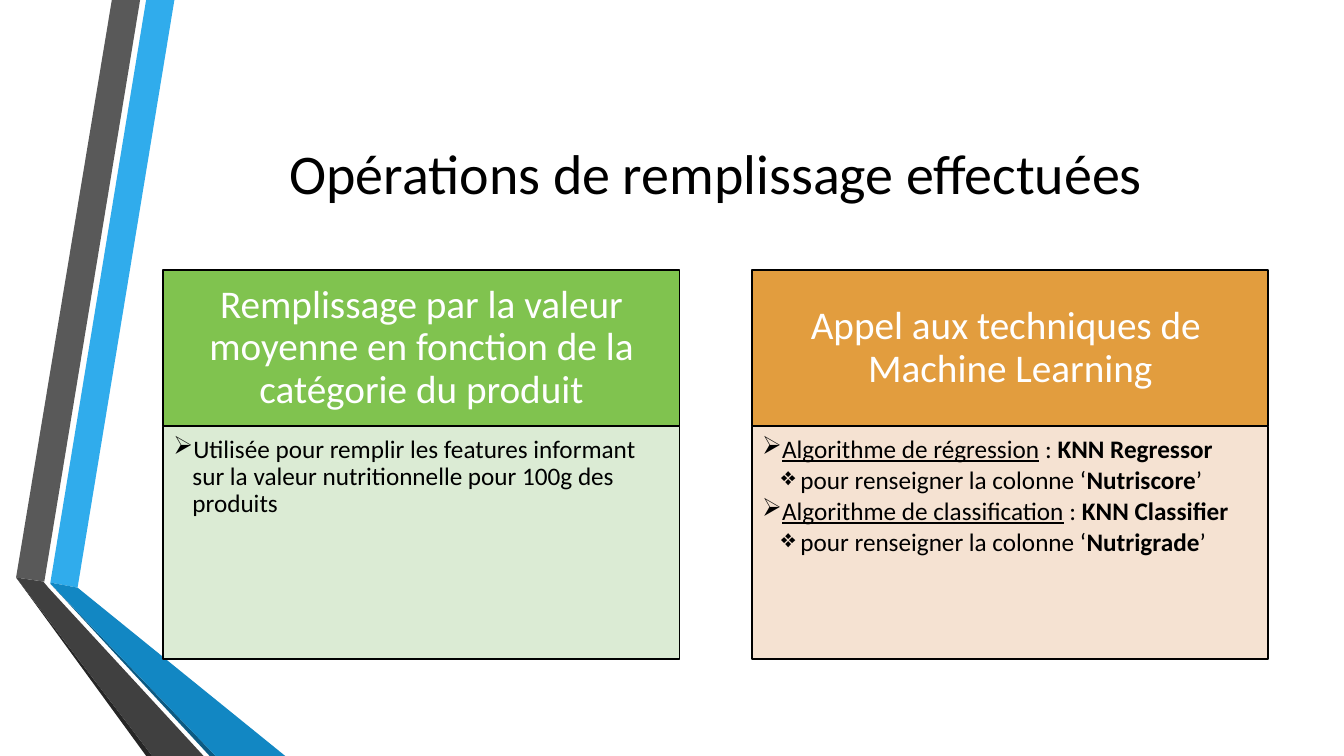
from dataclasses import dataclass

from lxml.etree import SubElement
from pptx import Presentation
from pptx.dml.color import RGBColor
from pptx.enum.shapes import MSO_SHAPE as Preset
from pptx.enum.text import MSO_ANCHOR as Anchor, PP_ALIGN as Align
from pptx.oxml.ns import qn
from pptx.util import Inches, Pt


@dataclass(frozen=True)
class Theme:
    """Colours, font and type sizes of the slide."""
    font: str = "Calibri"
    title_size: int = 40
    heading_size: int = 28
    body_size: int = 18
    outline: float = 1.25
    ink: str = "000000"
    paper: str = "FFFFFF"
    green: str = "80C34F"
    pale_green: str = "D8E9D0"
    orange: str = "E29D3E"
    pale_orange: str = "F4DFCE"
    blue: str = "30ACEC"
    mid_blue: str = "1287C3"
    deep_blue: str = "0C5A82"
    grey: str = "595959"
    dark_grey: str = "404040"
    near_black: str = "262626"


THEME = Theme()

RIBBONS = [
    (THEME.blue, [(0.5, 5.78), (0.77, 5.83), (1.73, 0), (1.45, 0)]),
    (THEME.grey, [(1.39, 0), (1.11, 0), (0.16, 5.73), (0.44, 5.77)]),
    (THEME.near_black, [(0.16, 5.73), (1.45, 7.5), (1.51, 7.5)]),
    (THEME.deep_blue, [(0.5, 5.79), (2.08, 7.5), (2.14, 7.5)]),
    (THEME.mid_blue, [(0.5, 5.79), (2.14, 7.5), (2.83, 7.5), (0.77, 5.83), (0.5, 5.78)]),
    (THEME.dark_grey, [(2.02, 7.5), (0.48, 5.83), (0.43, 5.77), (0.16, 5.73), (1.51, 7.5)]),
]


def algorithm_points(task, model, column):
    """Return the two bullet levels that describe one algorithm."""
    return [
        (1, [(f"Algorithme de {task}", "u"), (" : ", ""), (model, "b")]),
        (2, [("pour renseigner la colonne ‘", ""), (column, "b"), ("’", "")]),
    ]


CARDS = [
    (THEME.green, THEME.pale_green,
     "Remplissage par la valeur moyenne en fonction de la catégorie du produit",
     [(1, [("Utilisée pour remplir les features informant sur la valeur "
            "nutritionnelle pour 100g des produits", "")])]),
    (THEME.orange, THEME.pale_orange,
     "Appel aux techniques de \vMachine Learning",
     algorithm_points("régression", "KNN Regressor", "Nutriscore")
     + algorithm_points("classification", "KNN Classifier", "Nutrigrade")),
]
BULLETS = {1: "➢", 2: "❖"}
LEFT, TOP, CARD_WIDTH, CARD_STEP = 1.62, 2.68, 5.12, 5.84
HEADING_HEIGHT, BODY_HEIGHT = 1.55, 2.31
INDENT = 0.19


def paint(shape, color):
    """Give a shape a flat fill and no shadow."""
    shape.shadow.inherit = False
    shape.fill.solid()
    shape.fill.fore_color.rgb = RGBColor.from_string(color)


def style_font(paragraph, size, color):
    """Set the theme font of a whole paragraph."""
    paragraph.font.name = THEME.font
    paragraph.font.size = Pt(size)
    paragraph.font.color.rgb = RGBColor.from_string(color)


def add_ribbon(slide, color, outline):
    """Draw one facet of the folded ribbons."""
    start, *others = [(Inches(x), Inches(y)) for x, y in outline]
    builder = slide.shapes.build_freeform(*start)
    builder.add_line_segments(others, close=True)
    facet = builder.convert_to_shape()
    paint(facet, color)
    facet.line.fill.background()


def add_panel(slide, left, top, height, color, anchor, insets):
    """Draw an outlined panel and return it ready for text."""
    panel = slide.shapes.add_shape(Preset.RECTANGLE, Inches(left), Inches(top),
                                   Inches(CARD_WIDTH), Inches(height))
    paint(panel, color)
    panel.line.color.rgb = RGBColor.from_string(THEME.ink)
    panel.line.width = Pt(THEME.outline)
    frame = panel.text_frame
    frame.word_wrap = True
    frame.vertical_anchor = anchor
    (frame.margin_left, frame.margin_top,
     frame.margin_right, frame.margin_bottom) = map(Inches, insets)
    return panel


def set_opacity(shape, percent):
    """Make the solid fill of a shape partly transparent."""
    color = shape.fill._xPr.find(qn("a:solidFill"))[0]
    SubElement(color, qn("a:alpha"), val=str(percent * 1000))


def set_bullet(paragraph, level):
    """Give a paragraph the hanging bullet of its level."""
    properties = paragraph._p.get_or_add_pPr()
    properties.set("marL", str(Inches(INDENT * level)))
    properties.set("indent", str(-Inches(INDENT)))
    SubElement(properties, qn("a:buChar"), char=BULLETS[level])


def write_point(paragraph, level, pieces):
    """Write one bulleted point with its emphasised pieces."""
    paragraph.alignment = Align.LEFT
    paragraph.line_spacing = 0.9
    paragraph.space_after = Pt(THEME.body_size * 0.15)
    set_bullet(paragraph, level)
    style_font(paragraph, THEME.body_size, THEME.ink)
    for text, emphasis in pieces:
        run = paragraph.add_run()
        run.text = text
        if emphasis == "b":
            run.font.bold = True
        elif emphasis == "u":
            run.font.underline = True


def add_card(slide, left, strong, pale, heading, points):
    """Add a heading panel with its list of points below."""
    header = add_panel(slide, left, TOP, HEADING_HEIGHT, strong, Anchor.MIDDLE,
                       (0.22, 0.12, 0.22, 0.12))
    caption = header.text_frame.paragraphs[0]
    caption.text = heading
    caption.alignment = Align.CENTER
    caption.line_spacing = 0.9
    style_font(caption, THEME.heading_size, THEME.paper)

    body = add_panel(slide, left, TOP + HEADING_HEIGHT, BODY_HEIGHT, pale, Anchor.TOP,
                     (0.1, 0.1, 0.14, 0.16))
    set_opacity(body, 90)
    frame = body.text_frame
    for index, (level, pieces) in enumerate(points):
        paragraph = frame.add_paragraph() if index else frame.paragraphs[0]
        write_point(paragraph, level, pieces)


def set_title(slide, text):
    """Place and format the slide title."""
    title = slide.shapes.title
    title.left, title.top = Inches(LEFT), Inches(0.75)
    title.width, title.height = Inches(10.96), Inches(1.92)
    title.text_frame.vertical_anchor = Anchor.MIDDLE
    paragraph = title.text_frame.paragraphs[0]
    paragraph.text = text
    paragraph.alignment = Align.CENTER
    style_font(paragraph, THEME.title_size, THEME.ink)


def main():
    """Build the slide and save it."""
    deck = Presentation()
    deck.slide_width, deck.slide_height = Inches(13.33), Inches(7.5)
    slide = deck.slides.add_slide(deck.slide_layouts[5])
    for color, outline in RIBBONS:
        add_ribbon(slide, color, outline)
    set_title(slide, "Opérations de remplissage effectuées")
    for index, card in enumerate(CARDS):
        add_card(slide, LEFT + index * CARD_STEP, *card)
    deck.save("out.pptx")


if __name__ == "__main__":
    main()
